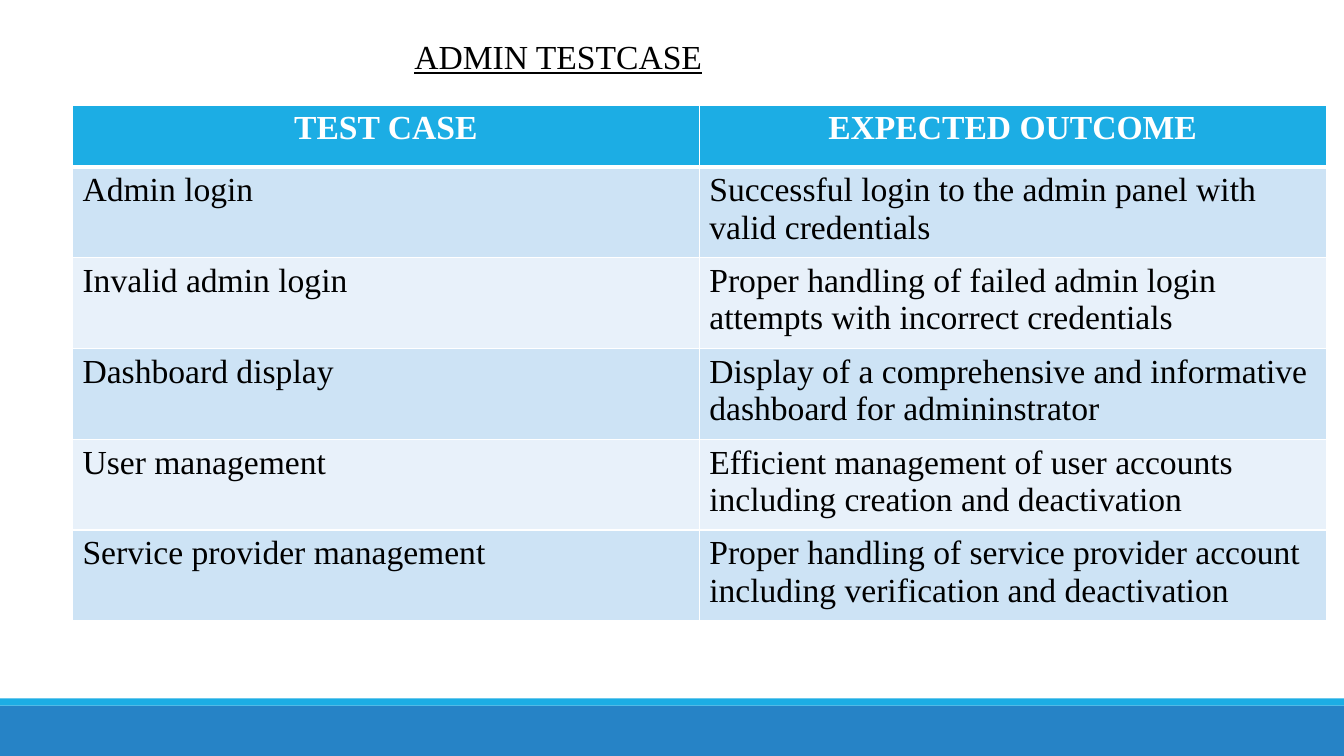
from lxml import etree
from pptx import Presentation
from pptx.dml.color import RGBColor
from pptx.enum.shapes import MSO_SHAPE
from pptx.enum.text import MSO_ANCHOR, MSO_AUTO_SIZE, PP_ALIGN
from pptx.oxml.ns import qn
from pptx.util import Pt

PX = 9525
FONT = "Times New Roman"
WHITE = RGBColor(0xFF, 0xFF, 0xFF)
BLACK = RGBColor(0x00, 0x00, 0x00)
CYAN = RGBColor(0x1C, 0xAD, 0xE4)
BLUE = RGBColor(0x26, 0x83, 0xC6)
BAND_DARK = RGBColor(0xCD, 0xE3, 0xF5)
BAND_LIGHT = RGBColor(0xE8, 0xF1, 0xFA)

SLIDE_WIDTH, SLIDE_HEIGHT = 1280, 720
TABLE_LEFT, TABLE_TOP = 69, 100
COLUMN_WIDTH, HEADER_HEIGHT, ROW_HEIGHT = 597, 59, 86
TITLE_INDENT = 384

ROWS = [
    ("TEST CASE", "EXPECTED OUTCOME"),
    ("Admin login", "Successful login to the admin panel with valid credentials"),
    ("Invalid admin login",
     "Proper handling of failed admin login attempts with incorrect credentials"),
    ("Dashboard display",
     "Display of a comprehensive and informative dashboard for admininstrator"),
    ("User management",
     "Efficient management of user accounts including creation and deactivation"),
    ("Service provider management",
     "Proper handling of service provider account including verification and deactivation"),
]


def style_text(para, color, bold=False, underline=False):
    for span in para.runs:
        span.font.name = FONT
        span.font.size = Pt(24)
        span.font.bold = bold
        span.font.underline = underline
        span.font.color.rgb = color


def set_borders(cell, top, bottom):
    """Draw white cell borders; top and bottom are widths in points."""
    properties = cell._tc.get_or_add_tcPr()
    widths = {"a:lnL": 1, "a:lnR": 1, "a:lnT": top, "a:lnB": bottom}
    for position, (tag, width) in enumerate(widths.items()):
        line = etree.Element(qn(tag), w=str(Pt(width)))
        fill = etree.SubElement(line, qn("a:solidFill"))
        etree.SubElement(fill, qn("a:srgbClr"), val=str(WHITE))
        properties.insert(position, line)


deck = Presentation()
deck.slide_width = SLIDE_WIDTH * PX
deck.slide_height = SLIDE_HEIGHT * PX
page = deck.slides.add_slide(deck.slide_layouts[5])

# Footer bars
for top, height, color in [(672, 48, BLUE), (665, 7, CYAN)]:
    bar = page.shapes.add_shape(
        MSO_SHAPE.RECTANGLE, 0, top * PX, SLIDE_WIDTH * PX, height * PX)
    bar.shadow.inherit = False
    bar.fill.solid()
    bar.fill.fore_color.rgb = color
    bar.line.fill.background()

# Title
title = page.shapes.title
title.left, title.top = 1 * PX, 29 * PX
title.width, title.height = 1101 * PX, 48 * PX
frame = title.text_frame
frame.text = "ADMIN TESTCASE"
frame.word_wrap = True
frame.auto_size = MSO_AUTO_SIZE.SHAPE_TO_FIT_TEXT
frame.vertical_anchor = MSO_ANCHOR.TOP
heading = frame.paragraphs[0]
heading.alignment = PP_ALIGN.LEFT
heading._p.get_or_add_pPr().set("marL", str(TITLE_INDENT * PX))
style_text(heading, BLACK, underline=True)

# Test case table
table_height = HEADER_HEIGHT + ROW_HEIGHT * (len(ROWS) - 1)
table = page.shapes.add_table(
    len(ROWS), 2, TABLE_LEFT * PX, TABLE_TOP * PX,
    2 * COLUMN_WIDTH * PX, table_height * PX).table
for column in table.columns:
    column.width = COLUMN_WIDTH * PX

for row_index, texts in enumerate(ROWS):
    is_header = row_index == 0
    table.rows[row_index].height = (HEADER_HEIGHT if is_header else ROW_HEIGHT) * PX
    band = CYAN if is_header else BAND_DARK if row_index % 2 else BAND_LIGHT
    for column_index, text in enumerate(texts):
        cell = table.cell(row_index, column_index)
        cell.text_frame.text = text
        cell.fill.solid()
        cell.fill.fore_color.rgb = band
        set_borders(cell, top=3 if row_index == 1 else 1, bottom=3 if is_header else 1)
        para = cell.text_frame.paragraphs[0]
        para.alignment = PP_ALIGN.CENTER if is_header else PP_ALIGN.LEFT
        style_text(para, WHITE if is_header else BLACK, bold=is_header)

deck.save("out.pptx")
